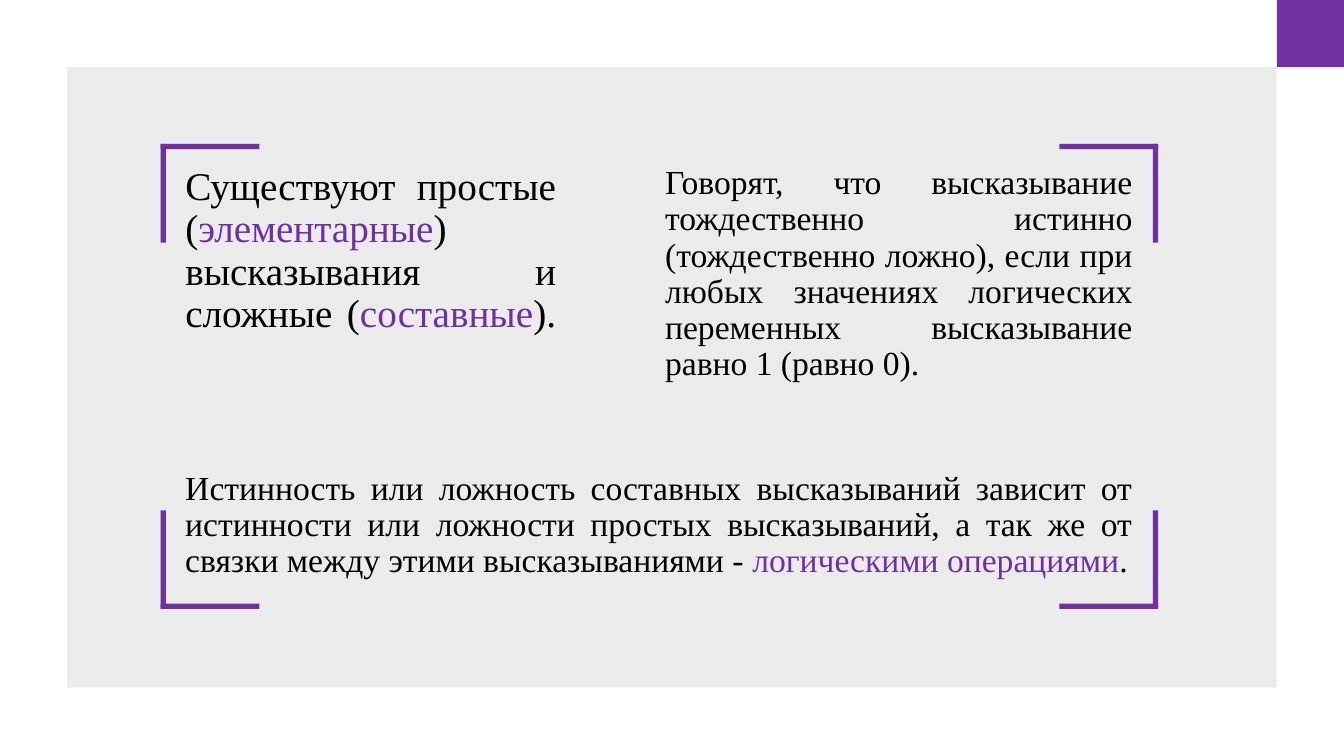
import dataclasses
import itertools

import lxml.etree
import pptx
import pptx.dml.color
import pptx.enum.shapes
import pptx.enum.text
import pptx.oxml.ns
import pptx.slide
import pptx.util

EMU_PER_PX = 9525
SLIDE_WIDTH, SLIDE_HEIGHT = 1280, 720
MARGIN = 64
BLACK, PURPLE, GREY = "000000", "7030A0", "D9D9D9"
FONT = "Times New Roman"
BLANK_LAYOUT = 6


@dataclasses.dataclass(frozen=True)
class Box:
    left: int
    top: int
    width: int
    height: int

    def emu(self) -> list[int]:
        return [px(side) for side in dataclasses.astuple(self)]


@dataclasses.dataclass(frozen=True)
class Statement:
    """A justified paragraph whose runs are (text, colour) pairs."""

    box: Box
    size: int
    runs: tuple[tuple[str, str], ...]


FRAME = Box(153, 137, 950, 443)
BAR_LENGTH, BAR_THICKNESS = 94, 5

STATEMENTS = (
    Statement(Box(167, 154, 372, 226), 28, (
        ("Существуют простые (", BLACK),
        ("элементарные", PURPLE),
        (") высказывания и сложные (", BLACK),
        ("составные", PURPLE),
        ("). ", BLACK),
    )),
    Statement(Box(624, 153, 464, 227), 24, (
        ("Говорят, что высказывание тождественно истинно (тождественно ложно), "
         "если при любых значениях логических переменных высказывание "
         "равно 1 (равно 0). ", BLACK),
    )),
    Statement(Box(167, 444, 921, 123), 24, (
        ("Истинность или ложность составных высказываний зависит от истинности "
         "или ложности простых высказываний, а так же от связки между этими "
         "высказываниями - ", BLACK),
        ("логическими операциями", PURPLE),
        (".", BLACK),
    )),
)


def px(length: int) -> int:
    return pptx.util.Emu(length * EMU_PER_PX)


def colour(hex_code: str) -> pptx.dml.color.RGBColor:
    return pptx.dml.color.RGBColor.from_string(hex_code)


def add_rectangle(slide: pptx.slide.Slide, box: Box, fill: str, opacity: int = 100) -> None:
    shape = slide.shapes.add_shape(pptx.enum.shapes.MSO_SHAPE.RECTANGLE, *box.emu())
    shape.shadow.inherit = False
    shape.line.fill.background()
    shape.fill.solid()
    shape.fill.fore_color.rgb = colour(fill)
    if opacity < 100:
        fill_colour = shape.element.spPr.find(".//" + pptx.oxml.ns.qn("a:srgbClr"))
        alpha = lxml.etree.SubElement(fill_colour, pptx.oxml.ns.qn("a:alpha"))
        alpha.set("val", str(opacity * 1000))


def add_frame_corners(slide: pptx.slide.Slide, frame: Box) -> None:
    """Draw a horizontal and a vertical bar at each corner of the frame."""
    for at_right, at_bottom in itertools.product((False, True), repeat=2):
        for width, height in ((BAR_LENGTH, BAR_THICKNESS), (BAR_THICKNESS, BAR_LENGTH)):
            left = frame.left + at_right * (frame.width - width)
            top = frame.top + at_bottom * (frame.height - height)
            add_rectangle(slide, Box(left, top, width, height), PURPLE)


def add_statement(slide: pptx.slide.Slide, statement: Statement) -> None:
    text_frame = slide.shapes.add_textbox(*statement.box.emu()).text_frame
    text_frame.word_wrap = True
    paragraph = text_frame.paragraphs[0]
    paragraph.alignment = pptx.enum.text.PP_ALIGN.JUSTIFY
    paragraph.line_spacing = 0.9
    paragraph.space_before = pptx.util.Pt(10)
    for text, text_colour in statement.runs:
        run = paragraph.add_run()
        run.text = text
        run.font.name = FONT
        run.font.size = pptx.util.Pt(statement.size)
        run.font.color.rgb = colour(text_colour)


def main() -> None:
    presentation = pptx.Presentation()
    presentation.slide_width = px(SLIDE_WIDTH)
    presentation.slide_height = px(SLIDE_HEIGHT)
    slide = presentation.slides.add_slide(presentation.slide_layouts[BLANK_LAYOUT])

    panel = Box(MARGIN, MARGIN, SLIDE_WIDTH - 2 * MARGIN, 591)
    add_rectangle(slide, panel, GREY, opacity=50)
    add_rectangle(slide, Box(SLIDE_WIDTH - MARGIN, 0, MARGIN, MARGIN), PURPLE)
    add_frame_corners(slide, FRAME)
    for statement in STATEMENTS:
        add_statement(slide, statement)

    presentation.save("out.pptx")


if __name__ == "__main__":
    main()
